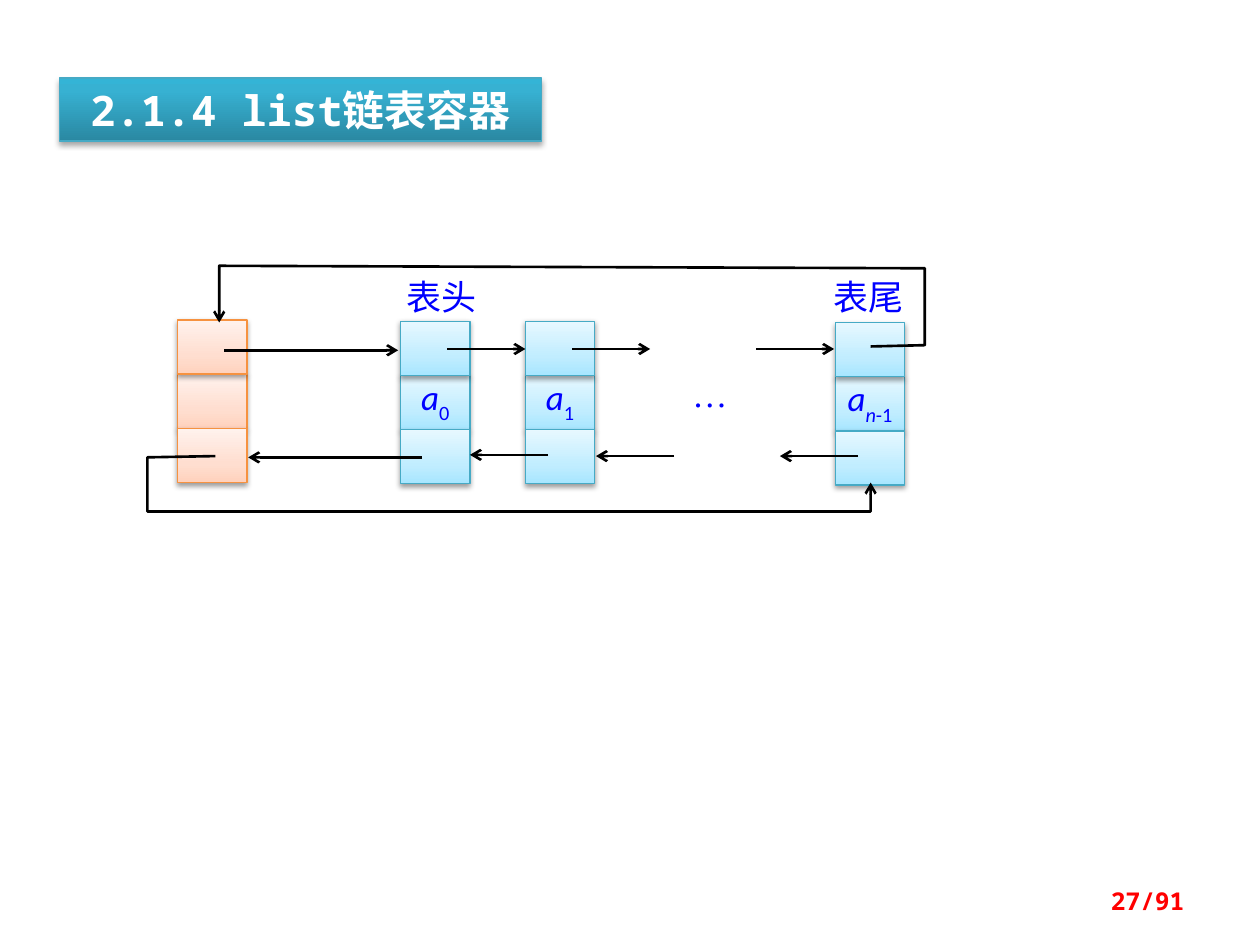
from pptx import Presentation
from pptx.dml.color import RGBColor as Rgb
from pptx.enum.shapes import MSO_CONNECTOR as Link, MSO_SHAPE as Shape
from pptx.enum.text import MSO_ANCHOR as Anchor, PP_ALIGN as Align
from pptx.oxml import parse_xml
from pptx.oxml.ns import nsdecls, qn
from pptx.util import Inches, Pt

# The page is a grid of 100 columns by 75 rows
COLUMNS, ROWS = 100, 75
WIDTH, HEIGHT = Inches(10), Inches(7.5)
CELL_W, CELL_H = 5.5, 4.3

COLORS = {
    "teal": "46AAC5", "orange": "F69240", "black": "000000",
    "white": "FFFFFF", "blue": "0000FF", "red": "FF0000",
}
GRADIENTS = {
    "title": [(0, "2A88A2"), (80, "37B1D2"), (100, "34B4D6")],
    "node": [(0, "A7E6FF"), (35, "C1EDFF"), (100, "E7F8FF")],
    "head": [(0, "FFD2BD"), (35, "FFDED0"), (100, "FFF2ED")],
}
TITLE = {"name": "Noto Sans Mono", "size": Pt(24), "bold": True}
NUMBER = {"name": "Noto Sans Mono", "size": Pt(14), "bold": True}
LABEL = {"name": "Times New Roman", "size": Pt(20)}
VALUE = {"name": "Calibri", "size": Pt(20)}


def col(count):
    return round(WIDTH * count / COLUMNS)


def row(count):
    return round(HEIGHT * count / ROWS)


def color(name):
    return Rgb.from_string(COLORS[name])


def add_rect(page, left, top, width, height):
    box = page.shapes.add_shape(
        Shape.RECTANGLE, col(left), row(top), col(width), row(height))
    box.shadow.inherit = False
    return box


def style_block(box, gradient, edge, alpha=38, distance=1.6):
    """Upward gradient, thin edge and soft shadow below."""
    stops = "".join(
        f'<a:gs pos="{pos * 1000}"><a:srgbClr val="{value}"/></a:gs>'
        for pos, value in GRADIENTS[gradient])
    box.fill.gradient()
    props = box._element.spPr
    props.replace(props.find(qn("a:gradFill")), parse_xml(
        f'<a:gradFill {nsdecls("a")} rotWithShape="1"><a:gsLst>{stops}</a:gsLst>'
        '<a:lin ang="16200000" scaled="0"/></a:gradFill>'))
    box.line.color.rgb = color(edge)
    box.line.width = Pt(0.75)
    props.find(qn("a:effectLst")).append(parse_xml(
        f'<a:outerShdw {nsdecls("a")} blurRad="{Pt(3.1)}" dist="{Pt(distance)}" '
        'dir="5400000" rotWithShape="0"><a:srgbClr val="000000">'
        f'<a:alpha val="{alpha * 1000}"/></a:srgbClr></a:outerShdw>'))


def write(box, spans, style, ink, align=Align.CENTER, anchor=Anchor.TOP, inset=None):
    """Spans are (text, italic, subscript)."""
    frame = box.text_frame
    frame.word_wrap = True
    frame.vertical_anchor = anchor
    if inset is not None:
        for side in ("left", "right", "top", "bottom"):
            setattr(frame, f"margin_{side}", inset)
    para = frame.paragraphs[0]
    para.alignment = align
    for text, italic, subscript in spans:
        span = para.add_run()
        span.text = text
        for key, value in {**style, "italic": italic}.items():
            setattr(span.font, key, value)
        span.font.color.rgb = color(ink)
        if subscript:
            span.font._element.set("baseline", "-30000")


def add_node(page, left, top, kind, edge, spans=()):
    """Three stacked cells; the value sits in the middle one."""
    for level in (1, 2, 0):
        box = add_rect(page, left, top + level * CELL_H, CELL_W, CELL_H)
        style_block(box, kind, edge)
        if level == 1 and spans:
            write(box, spans, VALUE, "blue", inset=0)


def add_label(page, text, left, top):
    box = add_rect(page, left, top, 5.7, 3.3)
    box.fill.solid()
    box.fill.fore_color.rgb = color("white")
    box.line.fill.background()
    write(box, [(text, False, False)], LABEL, "blue", inset=0)


def style_arrow(shape):
    shape.line.color.rgb = color("black")
    shape.line.width = Pt(1.5)
    shape.line._get_or_add_ln().append(
        parse_xml(f'<a:tailEnd {nsdecls("a")} type="arrow"/>'))


def add_arrow(page, start, end, level):
    arrow = page.shapes.add_connector(
        Link.STRAIGHT, col(start), row(level), col(end), row(level))
    style_arrow(arrow)
    arrow._element.spPr.append(parse_xml(f'<a:effectLst {nsdecls("a")}/>'))


def add_loop(page, points):
    points = [(col(x), row(y)) for x, y in points]
    builder = page.shapes.build_freeform(*points[0])
    builder.add_line_segments(points[1:], close=False)
    loop = builder.convert_to_shape()
    loop.shadow.inherit = False
    loop.fill.background()
    style_arrow(loop)


def main():
    deck = Presentation()
    deck.slide_width, deck.slide_height = WIDTH, HEIGHT
    page = deck.slides.add_slide(deck.slide_layouts[6])

    # Title bar
    title = add_rect(page, 4.7, 6.2, 38.3, 5)
    style_block(title, "title", "teal", alpha=35, distance=1.8)
    write(title, [("2.1.4 list链表容器", False, False)], TITLE, "white")

    # Head node and value nodes
    add_node(page, 14.1, 25.4, "head", "orange")
    for left, top, index in (
            (31.8, 25.5, [("0", False, True)]),
            (41.7, 25.5, [("1", False, True)]),
            (66.3, 25.6, [("n", True, True), ("-1", False, True)])):
        add_node(page, left, top, "node", "teal", [("a", True, False), *index])

    # Labels
    for text, left, top in (("…", 53.5, 29.6), ("表头", 32.2, 21.9), ("表尾", 66.1, 21.9)):
        add_label(page, text, left, top)

    # Links to the next and to the previous node
    for start, end, level in (
            (17.8, 31.6, 27.8), (35.5, 41.7, 27.7), (45.4, 51.6, 27.7), (60, 66.2, 27.7),
            (33.5, 19.7, 36.3), (43.5, 37.3, 36.1), (53.5, 47.3, 36.2), (68.1, 61.9, 36.2)):
        add_arrow(page, start, end, level)

    # Loops that close the ring
    add_loop(page, [(17.1, 36.2), (11.7, 36.3), (11.7, 40.6), (69.1, 40.6), (69.1, 38.3)])
    add_loop(page, [(69.1, 27.5), (73.4, 27.4), (73.4, 21.3), (17.4, 21.1), (17.4, 25.6)])

    # Page number
    number = page.shapes.add_textbox(col(71.7), row(69.5), col(23.3), row(4))
    write(number, [("27/91", False, False)], NUMBER, "red", Align.RIGHT, Anchor.MIDDLE)

    deck.save("out.pptx")


if __name__ == "__main__":
    main()
